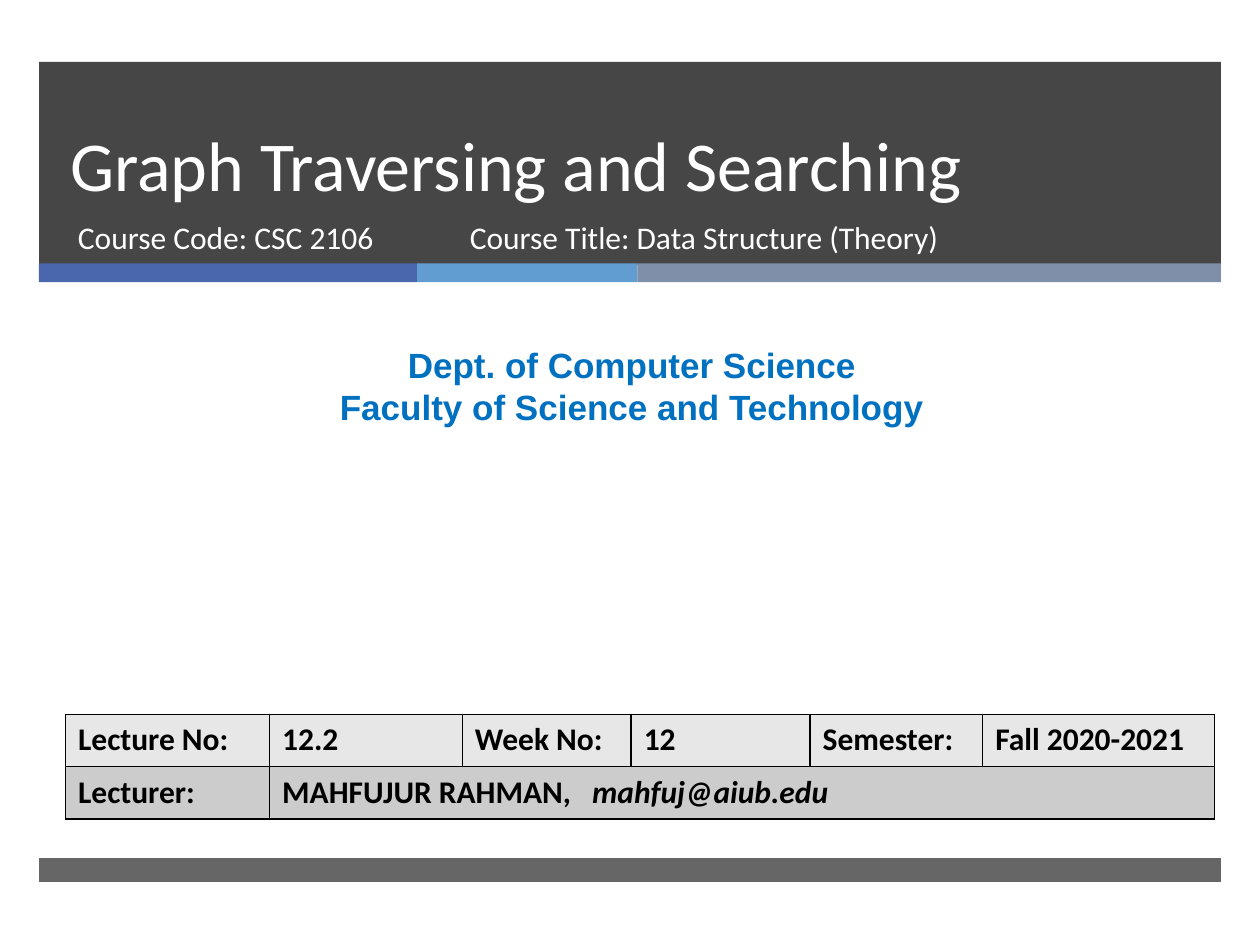
from lxml.etree import SubElement
from pptx import Presentation
from pptx.dml.color import RGBColor
from pptx.enum.shapes import MSO_SHAPE as SHAPE
from pptx.enum.text import MSO_ANCHOR as ANCHOR, PP_ALIGN as ALIGN
from pptx.oxml.ns import qn
from pptx.util import Inches, Pt

COLORS = {
    "dark": "262626", "blue": "4A66AC", "sky": "629DD1", "slate": "7F8FA9",
    "white": "FFFFFF", "dept": "0070C0", "black": "000000",
    "row1": "E7E7E7", "row2": "CCCCCC",
}
BAND_LEFT, BAND_WIDTH = 0.31, 9.38


def rgb(name):
    """Return the palette colour as an RGBColor."""
    return RGBColor.from_string(COLORS[name])


def add_bar(slide, left, top, width, height, color, opacity=100):
    """Add a borderless rectangle with an optional opacity in percent."""
    sp = slide.shapes.add_shape(SHAPE.RECTANGLE, Inches(left), Inches(top),
                                Inches(width), Inches(height))
    sp.shadow.inherit = False
    sp.line.fill.background()
    sp.fill.solid()
    sp.fill.fore_color.rgb = rgb(color)
    if opacity < 100:
        clr = sp.fill._xPr.find(qn("a:solidFill"))[0]
        SubElement(clr, qn("a:alpha")).set("val", str(opacity * 1000))


def add_run(p, text, size, color, font="Calibri", bold=False, italic=False):
    """Append a formatted run to a paragraph."""
    r = p.add_run()
    r.text = text
    r.font.size, r.font.name = Pt(size), font
    r.font.bold, r.font.italic = bold, italic
    r.font.color.rgb = rgb(color)


def add_text(slide, box, lines, size, color="white", font="Calibri", bold=False,
             align=ALIGN.LEFT, anchor=ANCHOR.TOP, spacing=None):
    """Add a wrapped text box with one paragraph per line."""
    tf = slide.shapes.add_textbox(*map(Inches, box)).text_frame
    tf.word_wrap = True
    tf.vertical_anchor = anchor
    for i, line in enumerate(lines):
        p = tf.add_paragraph() if i else tf.paragraphs[0]
        p.alignment = align
        if spacing:
            p.line_spacing = Pt(spacing)
        add_run(p, line, size, color, font, bold)


def style_cell(cell, color):
    """Give a cell its fill and thin black borders."""
    tc_pr = cell._tc.get_or_add_tcPr()
    for side in ("lnL", "lnR", "lnT", "lnB"):
        ln = SubElement(tc_pr, qn(f"a:{side}"), w=str(Pt(1)))
        fill = SubElement(ln, qn("a:solidFill"))
        SubElement(fill, qn("a:srgbClr"), val=COLORS["black"])
    cell.fill.solid()
    cell.fill.fore_color.rgb = rgb(color)


def add_tab_stop(p, position):
    """Add a left tab stop to a paragraph."""
    tabs = SubElement(p._p.get_or_add_pPr(), qn("a:tabLst"))
    SubElement(tabs, qn("a:tab"), pos=str(Inches(position)), algn="l")


def add_lecture_table(slide):
    """Add the table of lecture details."""
    widths = [1.62, 1.53, 1.34, 1.42, 1.37, 1.84]
    rows = [
        [["Lecture No:"], ["12.2"], ["Week No:"], ["12"], ["Semester:"],
         ["Fall 2020-2021"]],
        [["Lecturer:"], ["MAHFUJUR RAHMAN,\t", "mahfuj@aiub.edu"]],
    ]
    table = slide.shapes.add_table(2, 6, Inches(0.52), Inches(5.67),
                                   Inches(sum(widths)), Inches(0.83)).table
    for col, width in zip(table.columns, widths):
        col.width = Inches(width)
    for i, (row, color) in enumerate(zip(rows, ("row1", "row2"))):
        for cell in table.rows[i].cells:
            style_cell(cell, color)
        for j, parts in enumerate(row):
            p = table.cell(i, j).text_frame.paragraphs[0]
            if len(parts) > 1:
                add_tab_stop(p, 2.46)
            for k, part in enumerate(parts):
                add_run(p, part, 18, "black", bold=True, italic=k > 0)
    table.cell(1, 1).merge(table.cell(1, 5))


def main():
    """Build the title slide and save it."""
    prs = Presentation()
    prs.slide_width, prs.slide_height = Inches(10), Inches(7.5)
    slide = prs.slides.add_slide(prs.slide_layouts[6])

    add_bar(slide, BAND_LEFT, 0.49, BAND_WIDTH, 1.61, "dark", 85)
    left = BAND_LEFT
    for width, color in ((3, "blue"), (1.75, "sky"), (4.63, "slate")):
        add_bar(slide, left, 2.09, width, 0.15, color)
        left += width
    add_bar(slide, BAND_LEFT, 6.81, BAND_WIDTH, 0.19, "dark", 70)

    add_text(slide, (0.46, 0.49, 8.54, 1.19), ["Graph Traversing and Searching"],
             40, anchor=ANCHOR.BOTTOM, spacing=46)
    add_text(slide, (0.52, 1.68, 3.05, 0.53), ["Course Code: CSC 2106"], 18)
    add_text(slide, (3.63, 1.68, 4.55, 0.53),
             ["Course Title: Data Structure (Theory)"], 18)
    add_text(slide, (0.08, 2.68, 9.87, 0.77),
             ["Dept. of Computer Science", "Faculty of Science and Technology"],
             20, "dept", "Arial", True, ALIGN.CENTER)
    add_lecture_table(slide)
    prs.save("out.pptx")


if __name__ == "__main__":
    main()
